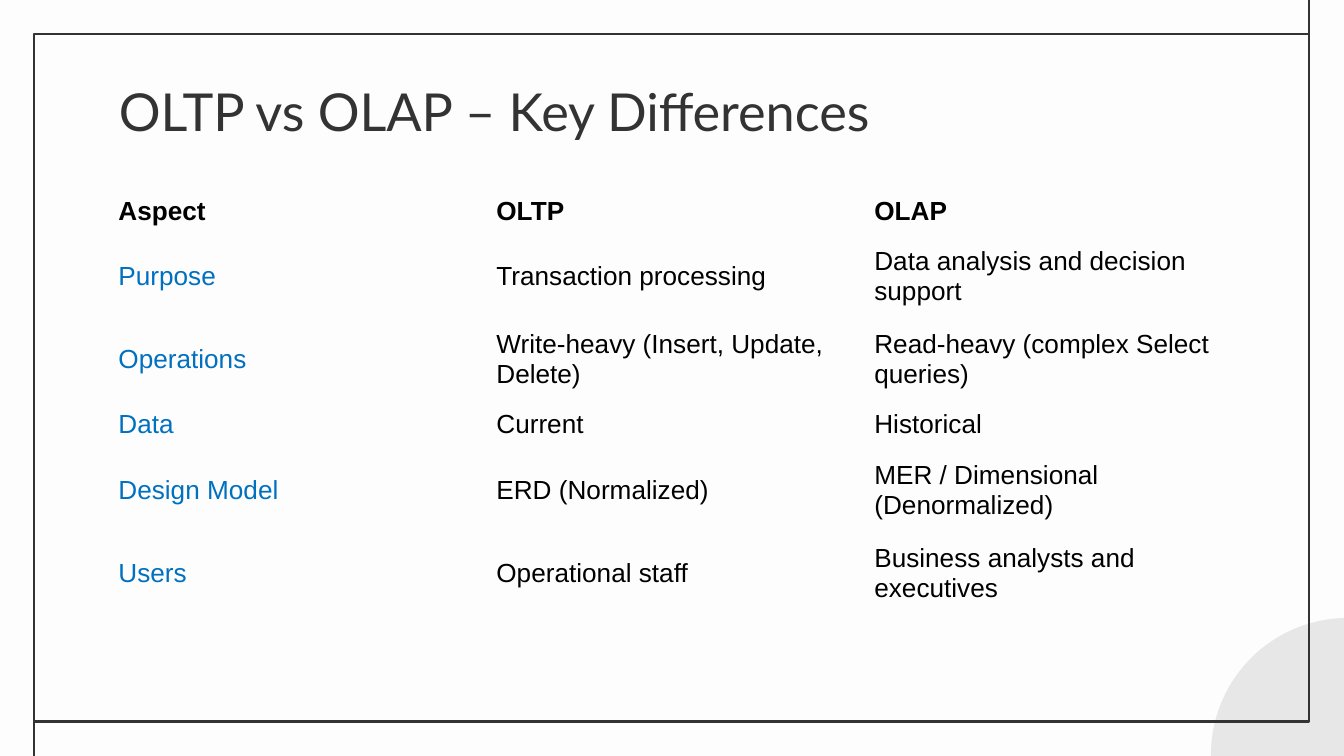
from lxml.etree import SubElement
from pptx import Presentation
from pptx.dml.color import RGBColor
from pptx.enum.shapes import MSO_CONNECTOR, MSO_SHAPE
from pptx.enum.text import MSO_ANCHOR
from pptx.oxml.ns import qn
from pptx.util import Pt

SCALE = 9144000 / 1344
WIDE, HIGH = 1344, 756
INK = "333333"
NO_GRID = "{2D5ABB26-0587-4C30-8999-92F81FD0307C}"
ROWS = [
    ("Aspect", "OLTP", "OLAP"),
    ("Purpose", "Transaction processing", "Data analysis and decision support"),
    ("Operations", "Write-heavy (Insert, Update, Delete)",
     "Read-heavy (complex Select queries)"),
    ("Data", "Current", "Historical"),
    ("Design Model", "ERD (Normalized)", "MER / Dimensional (Denormalized)"),
    ("Users", "Operational staff", "Business analysts and executives"),
]
HEIGHTS = [48, 83, 83, 48, 83, 83]


def px(*values):
    """Turn px lengths into EMU."""
    return [round(value * SCALE) for value in values]


def paint(target, color):
    """Give a fill, line or font format a solid hex color."""
    if hasattr(target, "solid"):
        target.solid()
        target = target.fore_color
    else:
        target = target.color
    target.rgb = RGBColor.from_string(color)


def style(frame, name, size, color, bold=False):
    """Format every run of a text frame."""
    for para in frame.paragraphs:
        for run in para.runs:
            run.font.name = name
            run.font.size = Pt(size)
            run.font.bold = bold
            paint(run.font, color)


def add_line(slide, *ends):
    """Draw a plain ink line between two points."""
    line = slide.shapes.add_connector(MSO_CONNECTOR.STRAIGHT, *px(*ends))
    paint(line.line, INK)
    line.line.width = Pt(1.5)
    SubElement(line._element.spPr, qn("a:effectLst"))


def add_decor(slide, left, top, width, height):
    """Draw the corner disc, the frame and its two edge lines."""
    right, base = left + width, top + height
    disc = slide.shapes.add_shape(
        MSO_SHAPE.OVAL, *px(right - 98, base - 104, 274, 274))
    disc.shadow.inherit = False
    paint(disc.fill, "E8E7E7")
    disc.line.fill.background()
    add_line(slide, right, top, right, 0)
    add_line(slide, left, base, left, HIGH)
    frame = slide.shapes.add_shape(
        MSO_SHAPE.RECTANGLE, *px(left, top, width, height))
    frame.shadow.inherit = False
    frame.fill.background()
    paint(frame.line, INK)
    frame.line.width = Pt(1.5)


def add_title(slide, text, *box):
    """Place the slide title in its box."""
    frame = slide.shapes.add_textbox(*px(*box)).text_frame
    frame.word_wrap = True
    frame.vertical_anchor = MSO_ANCHOR.TOP
    pad, = px(13)
    frame.margin_left = frame.margin_right = pad
    frame.margin_top = frame.margin_bottom = pad
    frame.text = text
    style(frame, "Lato", 28, INK)


def add_grid(slide, left, top, width):
    """Place the comparison table with equal columns."""
    count = len(ROWS[0])
    shape = slide.shapes.add_table(
        len(ROWS), count, *px(left, top, width, sum(HEIGHTS)))
    table = shape.table
    table.horz_banding = False
    shape._element.xpath(".//a:tableStyleId")[0].text = NO_GRID
    for col in table.columns:
        col.width, = px(width / count)
    for r, (row, high) in enumerate(zip(ROWS, HEIGHTS)):
        table.rows[r].height, = px(high)
        for c, text in enumerate(row):
            cell = table.cell(r, c)
            cell.fill.background()
            cell.vertical_anchor = MSO_ANCHOR.MIDDLE
            cell.text_frame.text = text
            color = "0070C0" if r and not c else "000000"
            style(cell.text_frame, "Arial", 14, color, bold=r == 0)


def main():
    """Build and save the slide."""
    deck = Presentation()
    deck.slide_width, deck.slide_height = px(WIDE, HIGH)
    slide = deck.slides.add_slide(deck.slide_layouts[6])
    paint(slide.background.fill, "FDFDFD")
    add_decor(slide, 34, 34, 1275, 688)
    add_title(slide, "OLTP vs OLAP – Key Differences", 106, 66, 1133, 85)
    add_grid(slide, 105, 187, 1134)
    deck.save("out.pptx")


if __name__ == "__main__":
    main()
